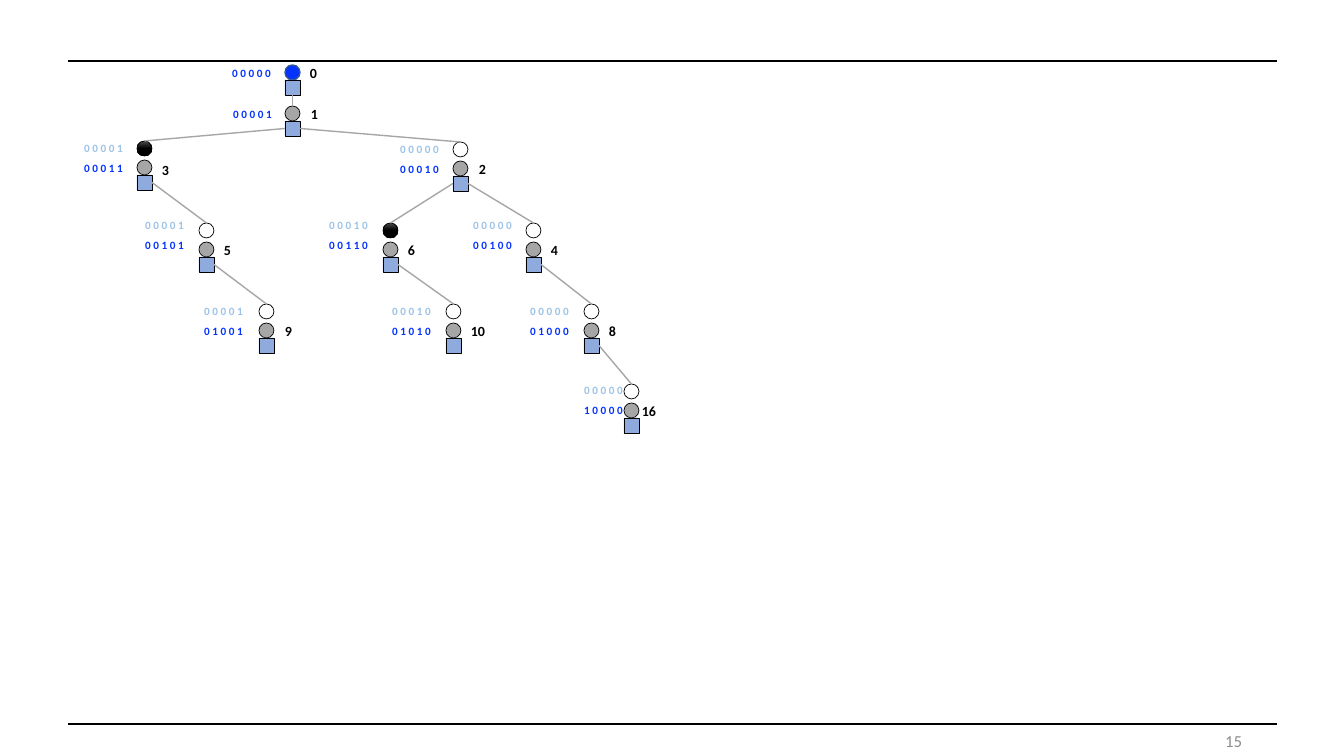
from dataclasses import dataclass

from lxml.etree import SubElement
from pptx import Presentation
from pptx.dml.color import RGBColor
from pptx.enum.shapes import MSO_CONNECTOR, MSO_SHAPE
from pptx.enum.text import MSO_ANCHOR, PP_ALIGN
from pptx.oxml.ns import qn
from pptx.util import Pt

EMU_PER_PX = 914400 / 100.8


def px(length):
    return round(length * EMU_PER_PX)


@dataclass(frozen=True)
class Theme:
    font: str = "Calibri"
    black: str = "000000"
    black_sheen: str = "4B4B4B"
    white: str = "FFFFFF"
    gray: str = "A6A6A6"
    page_number: str = "8C8C8C"
    blue: str = "0432FF"
    blue_outline: str = "325491"
    pale_blue: str = "9DC3E6"
    square: str = "8FAADC"
    code_size: float = 8
    label_size: float = 10
    page_number_size: float = 12
    outline: float = 0.5
    edge: float = 1
    rule: float = 1.5


THEME = Theme()


@dataclass(frozen=True)
class Box:
    left: int
    top: int
    width: int
    height: int


@dataclass(frozen=True)
class Node:
    """A tree node; x and y place its main circle within the tree's box."""
    number: int
    x: int
    y: int
    parent: int | None = None
    side: str = "right"
    code_gap: int = 70
    code_rise: int = 4
    label_gap: int = 15
    label_rise: int = 6


NODES = [
    Node(0, 217, 7, code_gap=69),
    Node(1, 217, 48, parent=0, side="bottom", code_gap=68, label_gap=16),
    Node(3, 69, 102, parent=1, side="left", code_gap=69, label_rise=4),
    Node(2, 385, 103, parent=1, code_gap=69, label_gap=16),
    Node(5, 131, 184, parent=3, code_rise=9),
    Node(6, 315, 184, parent=2, side="left", code_rise=9),
    Node(4, 458, 184, parent=2, code_gap=69, code_rise=9),
    Node(9, 191, 265, parent=5, code_gap=71, label_gap=16),
    Node(10, 378, 265, parent=6),
    Node(8, 516, 265, parent=4),
    Node(16, 556, 345, parent=8, code_gap=56, code_rise=5, label_gap=8),
]
SIZE = 15
TREE_CIRCLE_RISE = 19
CODE_STEP = 20
SQUARE_SITES = {"left": 1, "bottom": 2, "right": 3}


def rgb(value):
    return RGBColor.from_string(value)


def add_line(page, start, end, color, weight):
    points = [px(value) for value in (*start, *end)]
    line = page.shapes.add_connector(MSO_CONNECTOR.STRAIGHT, *points)
    line.line.color.rgb = rgb(color)
    line.line.width = Pt(weight)
    SubElement(line._element.spPr, qn("a:effectLst"))
    return line


def add_mark(page, kind, left, top, fill, outline=THEME.black, weight=THEME.outline):
    mark = page.shapes.add_shape(kind, px(left), px(top), px(SIZE), px(SIZE))
    mark.shadow.inherit = False
    mark.fill.solid()
    mark.fill.fore_color.rgb = rgb(fill)
    mark.line.color.rgb = rgb(outline)
    mark.line.width = Pt(weight)
    return mark


def shade_black(mark):
    mark.fill.gradient()
    mark.fill.gradient_angle = 270
    first, last = mark.fill.gradient_stops
    first.color.rgb = rgb(THEME.black_sheen)
    last.color.rgb = rgb(THEME.black)
    last.position = 0.5


def add_text(page, box, text, size, color, align=PP_ALIGN.LEFT, bold=True, wrap=True):
    frame = page.shapes.add_textbox(
        px(box.left), px(box.top), px(box.width), px(box.height)).text_frame
    frame.word_wrap = wrap
    frame.vertical_anchor = MSO_ANCHOR.MIDDLE
    para = frame.paragraphs[0]
    para.text = text
    para.alignment = align
    para.font.name = THEME.font
    para.font.size = Pt(size)
    para.font.bold = bold
    para.font.color.rgb = rgb(color)


def add_code(page, left, top, number, color):
    """Write a number as five spaced binary digits."""
    add_text(page, Box(left, top, 71, 24), " ".join(f"{number:05b}"),
             THEME.code_size, color, PP_ALIGN.CENTER)


def add_node(page, node, box):
    """Draw one node and return its topmost circle and its square."""
    left, top = box.left + node.x, box.top + node.y
    code_left, code_top = left - node.code_gap, top - node.code_rise
    if node.number == 0:
        circle = add_mark(page, MSO_SHAPE.OVAL, left, top,
                          THEME.blue, THEME.blue_outline, THEME.edge)
    else:
        circle = add_mark(page, MSO_SHAPE.OVAL, left, top, THEME.gray)
    square = add_mark(page, MSO_SHAPE.RECTANGLE, left, top + SIZE, THEME.square)
    add_code(page, code_left, code_top, node.number, THEME.blue)
    if node.number > 1:
        highest_bit = 1 << (node.number.bit_length() - 1)
        circle = add_mark(page, MSO_SHAPE.OVAL, left, top - TREE_CIRCLE_RISE, THEME.white)
        if node.number & (highest_bit >> 1):
            shade_black(circle)
        add_code(page, code_left, code_top - CODE_STEP,
                 node.number - highest_bit, THEME.pale_blue)
    label = str(node.number)
    add_text(page, Box(left + node.label_gap, top - node.label_rise, 19 + 8 * len(label), 27),
             label, THEME.label_size, THEME.black, wrap=False)
    return circle, square


def add_tree(page, box):
    marks = {node.number: add_node(page, node, box) for node in NODES}
    for node in NODES:
        if node.parent is None:
            continue
        edge = add_line(page, (0, 0), (0, 0), THEME.gray, THEME.edge)
        edge.begin_connect(marks[node.parent][1], SQUARE_SITES[node.side])
        edge.end_connect(marks[node.number][0], 0)


def add_frame(page, box, number):
    """Draw the rules above and below the content, and the page number."""
    right, bottom = box.left + box.width, box.top + box.height
    for y in (box.top, bottom):
        add_line(page, (box.left, y), (right, y), THEME.black, THEME.rule)
    add_text(page, Box(right - 126, bottom + 2, 101, 30), number,
             THEME.page_number_size, THEME.page_number, PP_ALIGN.RIGHT, bold=False)


def main():
    deck = Presentation()
    deck.slide_width, deck.slide_height = px(1344), px(756)
    page = deck.slides.add_slide(deck.slide_layouts[6])
    add_frame(page, Box(68, 61, 1209, 663), "15")
    add_tree(page, Box(68, 58, 600, 377))
    deck.save("out.pptx")


if __name__ == "__main__":
    main()
